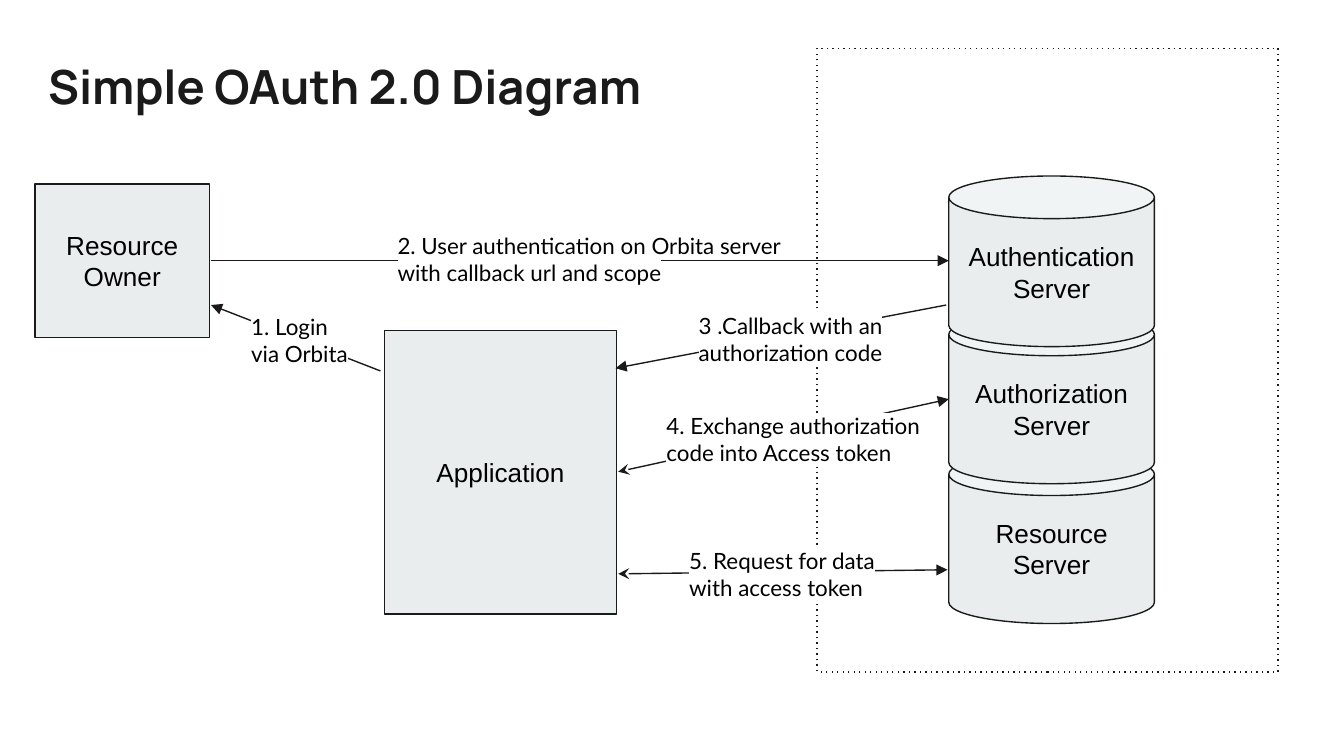
"""Build a slide showing a simple OAuth 2.0 flow."""
import lxml.etree
import pptx
import pptx.dml.color
import pptx.enum.shapes
import pptx.enum.text
import pptx.oxml.ns
import pptx.util

Inches = pptx.util.Inches
Pt = pptx.util.Pt
RGB = pptx.dml.color.RGBColor.from_string
SHAPE = pptx.enum.shapes.MSO_SHAPE
ALIGN = pptx.enum.text.PP_ALIGN
qn = pptx.oxml.ns.qn

COLORS = {"ink": "1A1A1A", "box": "E9EDEE", "text": "000000", "highlight": "FFFFFF"}

prs = pptx.Presentation()
prs.slide_width = Inches(10)
prs.slide_height = Inches(10) * 9 // 16
s = prs.slides.add_slide(prs.slide_layouts[6])


def add_node(kind, x, y, w, h):
    sp = s.shapes.add_shape(kind, Inches(x), Inches(y), Inches(w), Inches(h))
    sp.shadow.inherit = False
    sp.line.color.rgb = RGB(COLORS["ink"])
    sp.line.width = Pt(0.75)
    return sp


def set_text(sp, text, size, font, color, align):
    tf = sp.text_frame
    tf.word_wrap = True
    tf.margin_left = tf.margin_right = tf.margin_top = tf.margin_bottom = Inches(0.1)
    tf.text = text
    for p in tf.paragraphs:
        p.alignment = align
        p.font.size = Pt(size)
        p.font.name = font
        p.font.color.rgb = RGB(COLORS[color])
    return tf


zone = add_node(SHAPE.RECTANGLE, 6.08, 0.36, 3.43, 4.64)
zone.fill.background()
lxml.etree.SubElement(zone._element.spPr.get_or_add_ln(), qn("a:prstDash"), val="dot")

nodes = [
    ("Resource Server", SHAPE.CAN, 7.06, 3.37, 1.53, 1.27),
    ("Resource Owner", SHAPE.RECTANGLE, 0.26, 1.37, 1.3, 1.14),
    ("Application", SHAPE.RECTANGLE, 2.86, 2.46, 1.73, 2.11),
    ("Authorization Server", SHAPE.CAN, 7.06, 2.33, 1.53, 1.27),
    ("Authentication Server", SHAPE.CAN, 7.06, 1.31, 1.53, 1.27),
]
for name, kind, x, y, w, h in nodes:
    sp = add_node(kind, x, y, w, h)
    sp.fill.solid()
    sp.fill.fore_color.rgb = RGB(COLORS["box"])
    tf = set_text(sp, name, 14, "Arial", "text", ALIGN.CENTER)
    tf.vertical_anchor = pptx.enum.text.MSO_ANCHOR.MIDDLE

arrows = [
    (2.83, 2.76, 1.57, 2.27, False),
    (1.57, 1.94, 7.06, 1.94, False),
    (4.6, 3.51, 7.06, 2.97, True),
    (7.04, 2.27, 4.58, 2.74, False),
    (4.6, 4.27, 7.05, 4.24, True),
]
for x1, y1, x2, y2, two_way in arrows:
    cx = s.shapes.add_connector(pptx.enum.shapes.MSO_CONNECTOR.STRAIGHT,
                                Inches(x1), Inches(y1), Inches(x2), Inches(y2))
    cx.line.color.rgb = RGB(COLORS["ink"])
    cx.line.width = Pt(0.75)
    ln = cx._element.spPr.get_or_add_ln()
    if two_way:
        lxml.etree.SubElement(ln, qn("a:headEnd"), type="stealth")
    lxml.etree.SubElement(ln, qn("a:tailEnd"), type="triangle")
    lxml.etree.SubElement(cx._element.spPr, qn("a:effectLst"))

labels = [
    ("1. Login via Orbita", 1.77, 2.23, 0.98),
    ("2. User authentication on Orbita server\nwith callback url and scope", 2.86, 1.63, 3.14),
    ("3 .Callback with an authorization code", 5.1, 2.22, 1.73),
    ("4. Exchange authorization code into Access token", 4.86, 2.97, 2.23),
    ("5. Request for data with access token", 5.03, 3.97, 1.73),
]
for label, x, y, w in labels:
    sp = s.shapes.add_textbox(Inches(x), Inches(y), Inches(w), Inches(0.61))
    tf = set_text(sp, label, 12, "Lato", "text", ALIGN.LEFT)
    for p in tf.paragraphs:
        for r in p.runs:
            highlight = lxml.etree.SubElement(r._r.get_or_add_rPr(), qn("a:highlight"))
            lxml.etree.SubElement(highlight, qn("a:srgbClr"), val=COLORS["highlight"])

title = s.shapes.add_textbox(Inches(0.26), Inches(0.33), Inches(8.41), Inches(0.59))
tf = set_text(title, "Simple OAuth 2.0 Diagram", 25.2, "Manrope", "ink", ALIGN.LEFT)
tf.paragraphs[0].font.bold = True

prs.save("out.pptx")
